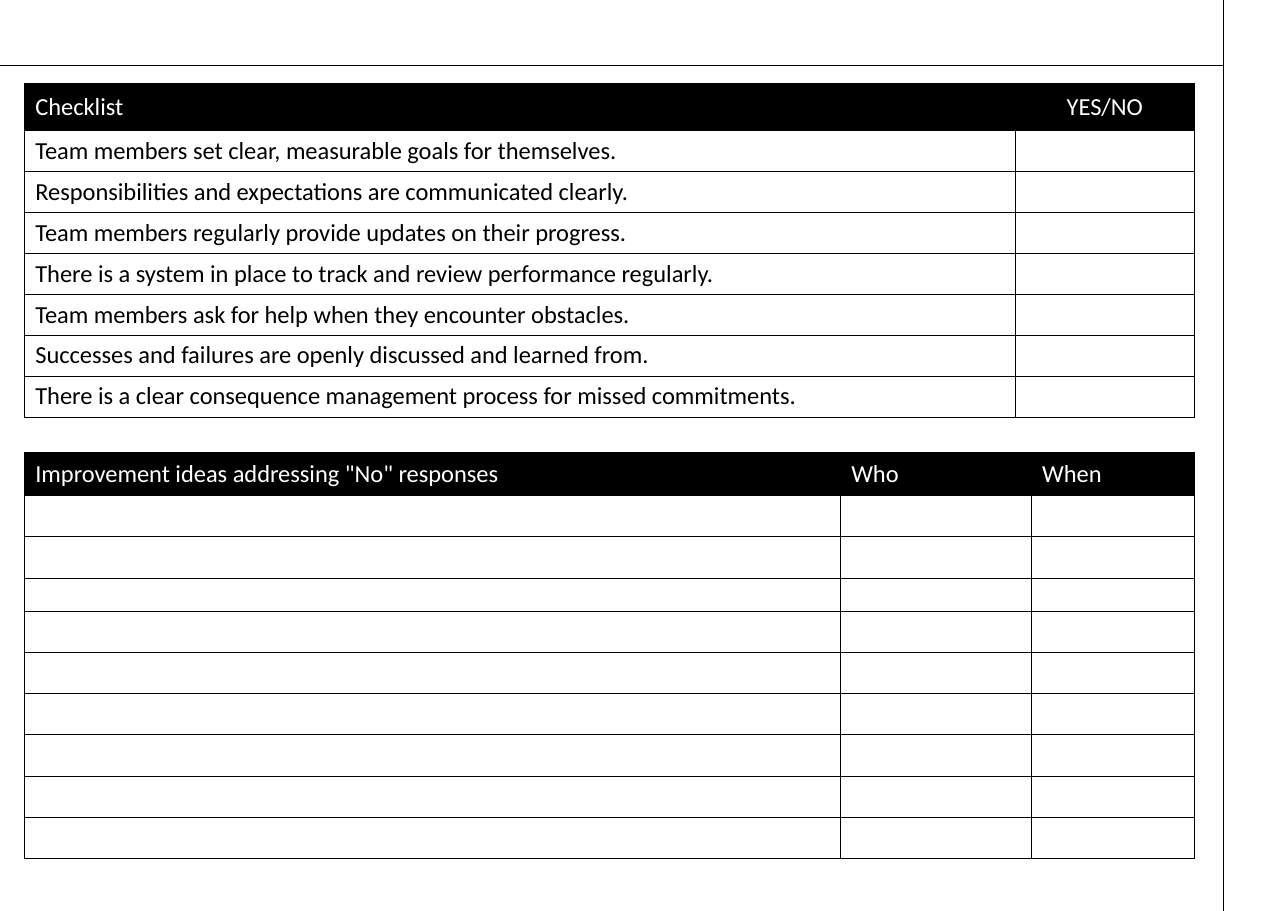
from lxml.etree import SubElement
from pptx import Presentation
from pptx.dml.color import RGBColor
from pptx.enum.shapes import MSO_CONNECTOR
from pptx.enum.text import MSO_ANCHOR, PP_ALIGN
from pptx.oxml.ns import qn
from pptx.util import Pt

# Content
CHECKLIST_HEADER = ["Checklist", "YES/NO"]
CHECKS = [
    "Team members set clear, measurable goals for themselves.",
    "Responsibilities and expectations are communicated clearly.",
    "Team members regularly provide updates on their progress.",
    "There is a system in place to track and review performance regularly.",
    "Team members ask for help when they encounter obstacles.",
    "Successes and failures are openly discussed and learned from.",
    "There is a clear consequence management process for missed commitments.",
]
IDEAS_HEADER = ['Improvement ideas addressing "No" responses', "Who", "When"]
IDEA_ROWS = 9

# Layout, in points
PAGE_WIDTH, PAGE_HEIGHT = 841.68, 595.44
MARGIN_X, RULE_Y = 799.2, 42.6
TABLE_LEFT = 15.9
LINE_WIDTH = 0.5
EMPTY_SIZE = 10
CHECKLIST_TOP, IDEAS_TOP = 54.4, 295.6
CHECKLIST_WIDTHS = [647.6, 117]
IDEAS_WIDTHS = [533.2, 124.8, 106.6]
CHECKLIST_HEIGHTS = [30.7] + [26.75] * len(CHECKS)
IDEAS_HEIGHTS = [28.2] + [27] * IDEA_ROWS
IDEAS_HEIGHTS[3] = 21.6

COLORS = {"ink": "000000", "paper": "FFFFFF"}
TEXT_FORMAT = {"name": "Calibri", "size": Pt(16), "bold": False}


def color(key):
    return RGBColor.from_string(COLORS[key])


def add_rule(slide, x1, y1, x2, y2):
    rule = slide.shapes.add_connector(
        MSO_CONNECTOR.STRAIGHT, Pt(x1), Pt(y1), Pt(x2), Pt(y2))
    rule.line.color.rgb = color("ink")
    rule.line.width = Pt(LINE_WIDTH)
    SubElement(rule._element.spPr, qn("a:effectLst"))


def add_borders(cell):
    properties = cell._tc.get_or_add_tcPr()
    for side in ("a:lnL", "a:lnR", "a:lnT", "a:lnB"):
        border = SubElement(properties, qn(side), w=str(Pt(LINE_WIDTH)))
        fill = SubElement(border, qn("a:solidFill"))
        SubElement(fill, qn("a:srgbClr"), val=COLORS["ink"])


def fill_cell(cell, text, is_header):
    add_borders(cell)
    cell.fill.solid()
    cell.fill.fore_color.rgb = color("ink" if is_header else "paper")
    cell.vertical_anchor = MSO_ANCHOR.MIDDLE
    paragraph = cell.text_frame.paragraphs[0]
    if not text:
        # A small end mark lets empty rows keep their height
        SubElement(paragraph._p, qn("a:endParaRPr"), sz=str(EMPTY_SIZE * 100))
        return
    run = paragraph.add_run()
    run.text = text
    for attribute, value in TEXT_FORMAT.items():
        setattr(run.font, attribute, value)
    run.font.color.rgb = color("paper" if is_header else "ink")


def add_grid(slide, top, widths, heights, rows):
    grid = slide.shapes.add_table(
        len(heights), len(widths), Pt(TABLE_LEFT), Pt(top),
        Pt(sum(widths)), Pt(sum(heights))).table
    grid.horz_banding = False
    for column, width in zip(grid.columns, widths):
        column.width = Pt(width)
    for r, (height, texts) in enumerate(zip(heights, rows)):
        grid.rows[r].height = Pt(height)
        for c, text in enumerate(texts):
            fill_cell(grid.cell(r, c), text, r == 0)
    return grid


def main():
    deck = Presentation()
    deck.slide_width, deck.slide_height = Pt(PAGE_WIDTH), Pt(PAGE_HEIGHT)
    slide = deck.slides.add_slide(deck.slide_layouts[6])

    # Page rules
    add_rule(slide, MARGIN_X, PAGE_HEIGHT, MARGIN_X, 0)
    add_rule(slide, MARGIN_X, RULE_Y, 0, RULE_Y)

    # Improvement ideas
    idea_rows = [IDEAS_HEADER] + [[""] * len(IDEAS_HEADER)] * IDEA_ROWS
    add_grid(slide, IDEAS_TOP, IDEAS_WIDTHS, IDEAS_HEIGHTS, idea_rows)

    # Checklist
    check_rows = [CHECKLIST_HEADER] + [[check, ""] for check in CHECKS]
    checklist = add_grid(slide, CHECKLIST_TOP, CHECKLIST_WIDTHS,
                         CHECKLIST_HEIGHTS, check_rows)
    answer_header = checklist.cell(0, 1).text_frame.paragraphs[0]
    answer_header.alignment = PP_ALIGN.CENTER

    deck.save("out.pptx")


if __name__ == "__main__":
    main()
